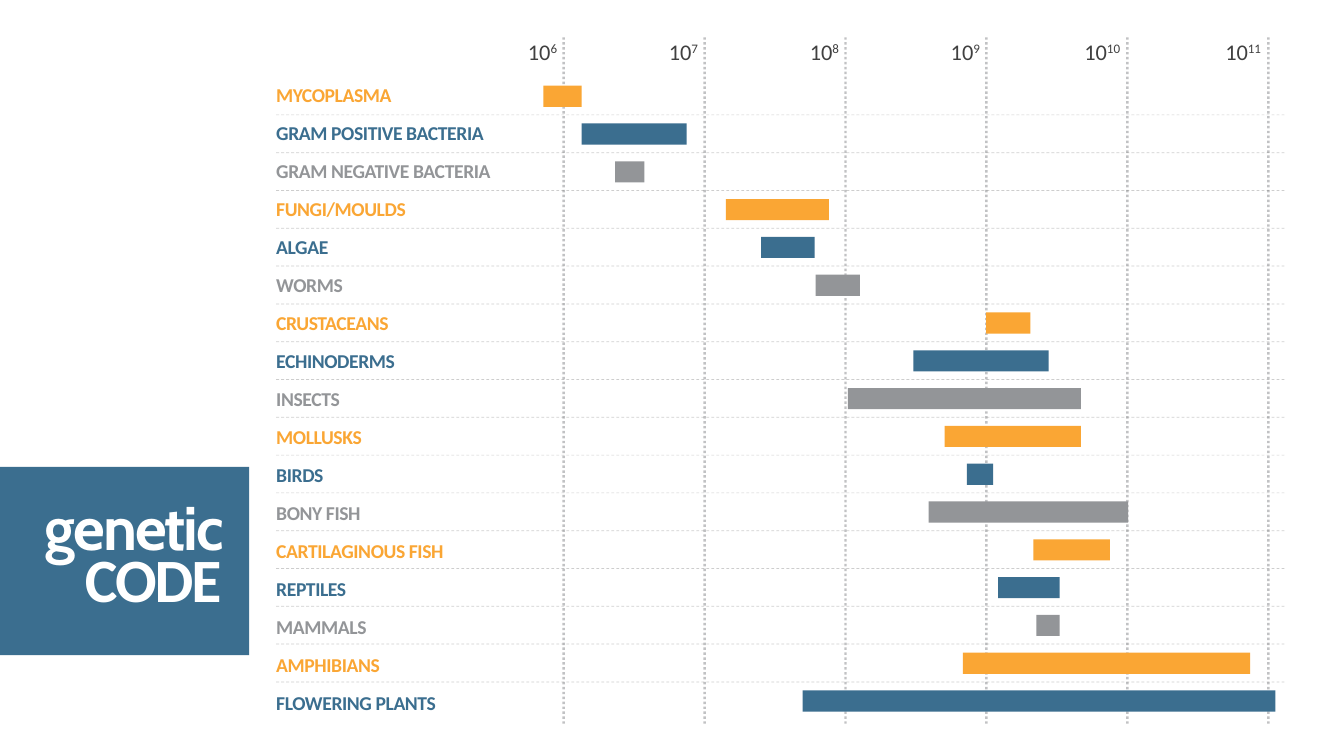
from lxml import etree
from pptx import Presentation
from pptx.dml.color import RGBColor
from pptx.enum import dml, shapes, text
from pptx.oxml import ns
from pptx.util import Inches, Pt

ORANGE = RGBColor(0xFA, 0xA6, 0x34)
BLUE = RGBColor(0x3B, 0x6E, 0x8F)
GRAY = RGBColor(0x93, 0x95, 0x98)
DIVIDER = RGBColor(0x80, 0x80, 0x80)
DARK = RGBColor(0x40, 0x40, 0x40)
WHITE = RGBColor(0xFF, 0xFF, 0xFF)
ROW_COLORS = (ORANGE, BLUE, GRAY)

TITLE = [("genetic", "Cabin"), (" CODE", "Calibri")]
EXPONENTS = ["6", "7", "8", "9", "10", "11"]
GENOMES = [
    ("MYCOPLASMA", 5.39, 0.38),
    ("GRAM POSITIVE BACTERIA", 5.77, 1.04),
    ("GRAM NEGATIVE BACTERIA", 6.1, 0.29),
    ("FUNGI/MOULDS", 7.2, 1.02),
    ("ALGAE", 7.55, 0.53),
    ("WORMS", 8.09, 0.44),
    ("CRUSTACEANS", 9.78, 0.44),
    ("ECHINODERMS", 9.06, 1.34),
    ("INSECTS", 8.41, 2.31),
    ("MOLLUSKS", 9.37, 1.35),
    ("BIRDS", 9.59, 0.26),
    ("BONY FISH", 9.21, 1.98),
    ("CARTILAGINOUS FISH", 10.25, 0.76),
    ("REPTILES", 9.9, 0.61),
    ("MAMMALS", 10.28, 0.23),
    ("AMPHIBIANS", 9.55, 2.85),
    ("FLOWERING PLANTS", 7.96, 4.69),
]

AXIS_LEFT, AXIS_RIGHT = 5.59, 12.58
AXIS_TOP, AXIS_BOTTOM = 0.36, 7.18
DECADE = (AXIS_RIGHT - AXIS_LEFT) / (len(EXPONENTS) - 1)
TABLE_LEFT, TABLE_RIGHT = 2.74, 12.74
ROWS_TOP, ROW_PITCH, BAR_HEIGHT = 0.85, 0.375, 0.21
DIVIDER_DROP = 0.29


def place(*lengths):
    return [Inches(length) for length in lengths]


def set_margins(frame, left=0, top=0, right=0, bottom=0):
    frame.margin_left, frame.margin_top = Inches(left), Inches(top)
    frame.margin_right, frame.margin_bottom = Inches(right), Inches(bottom)
    frame.auto_size = text.MSO_AUTO_SIZE.SHAPE_TO_FIT_TEXT


def add_span(para, words, size, color, font="Calibri", bold=False, spacing=0):
    span = para.add_run()
    span.text = words
    span.font.name = font
    span.font.size = Pt(size)
    span.font.bold = bold
    span.font.color.rgb = color
    if spacing:
        span.font._element.set("spc", str(spacing))
    return span


def add_text_box(page, left, top, width, height, wrap):
    box = page.shapes.add_textbox(*place(left, top, width, height))
    set_margins(box.text_frame)
    box.text_frame.word_wrap = wrap
    return box.text_frame


def add_rule(page, start, end, color, width, dash, opacity):
    rule = page.shapes.add_connector(
        shapes.MSO_CONNECTOR.STRAIGHT, *place(*start, *end))
    rule.line.width = Pt(width)
    rule.line.color.rgb = color
    rule.line.dash_style = dash
    tint = rule._element.spPr.find(".//" + ns.qn("a:srgbClr"))
    etree.SubElement(tint, ns.qn("a:alpha"), val=str(opacity * 1000))
    etree.SubElement(rule._element.spPr, ns.qn("a:effectLst"))


def add_title(page):
    title = page.shapes.title
    title.left, title.top, title.width, title.height = place(0, 4.77, 2.47, 1.59)
    outline = etree.Element(ns.qn("a:prstGeom"), prst="snip1Rect")
    guides = etree.SubElement(outline, ns.qn("a:avLst"))
    etree.SubElement(guides, ns.qn("a:gd"), name="adj", fmla="val 20800")
    title._element.spPr.insert(1, outline)
    title.fill.solid()
    title.fill.fore_color.rgb = BLUE
    frame = title.text_frame
    set_margins(frame, left=0.2, top=0.2, bottom=0.2)
    frame.word_wrap = True
    frame.vertical_anchor = text.MSO_ANCHOR.MIDDLE
    para = frame.paragraphs[0]
    para.alignment = text.PP_ALIGN.CENTER
    para.line_spacing = 0.7
    indent = para._p.get_or_add_pPr()
    indent.set("marL", str(Inches(0.37)))
    indent.set("indent", str(Inches(-0.37)))
    for words, font in TITLE:
        add_span(para, words, 44, WHITE, font, True, -150)


def add_row_labels(page):
    frame = add_text_box(page, TABLE_LEFT, ROWS_TOP, 2.77, 6.3, True)
    for row, (name, _, _) in enumerate(GENOMES):
        para = frame.add_paragraph() if row else frame.paragraphs[0]
        para.line_spacing = 0.9
        if row:
            para.space_before = Pt(12)
        add_span(para, name, 14, ROW_COLORS[row % 3], bold=True, spacing=-30)


def add_axis(page):
    for step, exponent in enumerate(EXPONENTS):
        x = AXIS_LEFT + step * DECADE
        width = 0.24 + 0.08 * len(exponent)
        frame = add_text_box(page, x - 0.05 - width, 0.41, width, 0.24, False)
        para = frame.paragraphs[0]
        para.alignment = text.PP_ALIGN.CENTER
        para.line_spacing = 0.9
        add_span(para, "10", 16, DARK)
        power = add_span(para, exponent, 16, DARK)
        power.font._element.set("baseline", "30000")
        add_rule(page, (x, AXIS_BOTTOM), (x, AXIS_TOP), GRAY, 1.75,
                 dml.MSO_LINE.ROUND_DOT, 57)


def add_rows(page):
    for row, (_, left, width) in enumerate(GENOMES):
        top = ROWS_TOP + row * ROW_PITCH
        bar = page.shapes.add_shape(
            shapes.MSO_SHAPE.RECTANGLE, *place(left, top, width, BAR_HEIGHT))
        bar.shadow.inherit = False
        bar.fill.solid()
        bar.fill.fore_color.rgb = ROW_COLORS[row % 3]
        bar.line.fill.background()
        if row < len(GENOMES) - 1:
            y = top + DIVIDER_DROP
            add_rule(page, (TABLE_LEFT, y), (TABLE_RIGHT, y), DIVIDER, 0.5,
                     dml.MSO_LINE.DASH, 38)


def main():
    deck = Presentation()
    deck.slide_width, deck.slide_height = place(13.33, 7.5)
    page = deck.slides.add_slide(deck.slide_layouts[5])
    add_title(page)
    add_row_labels(page)
    add_axis(page)
    add_rows(page)
    deck.save("out.pptx")


if __name__ == "__main__":
    main()
